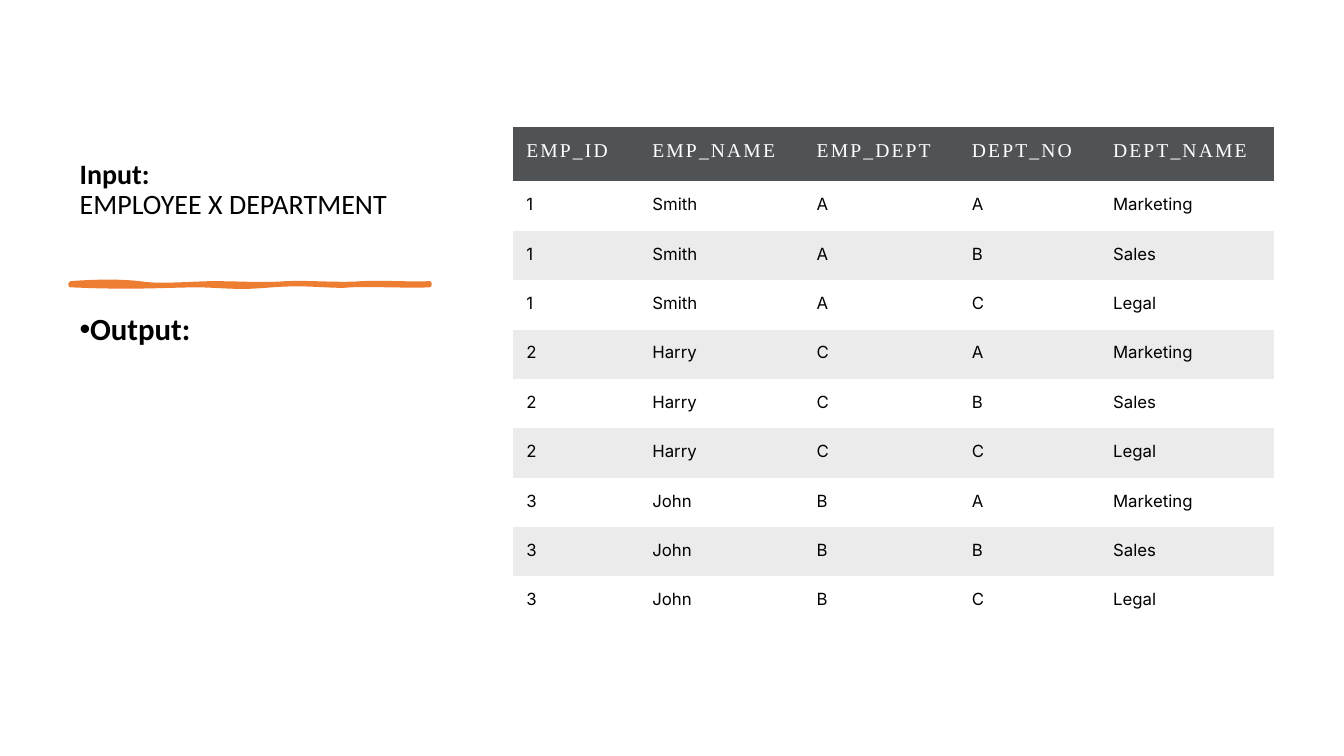
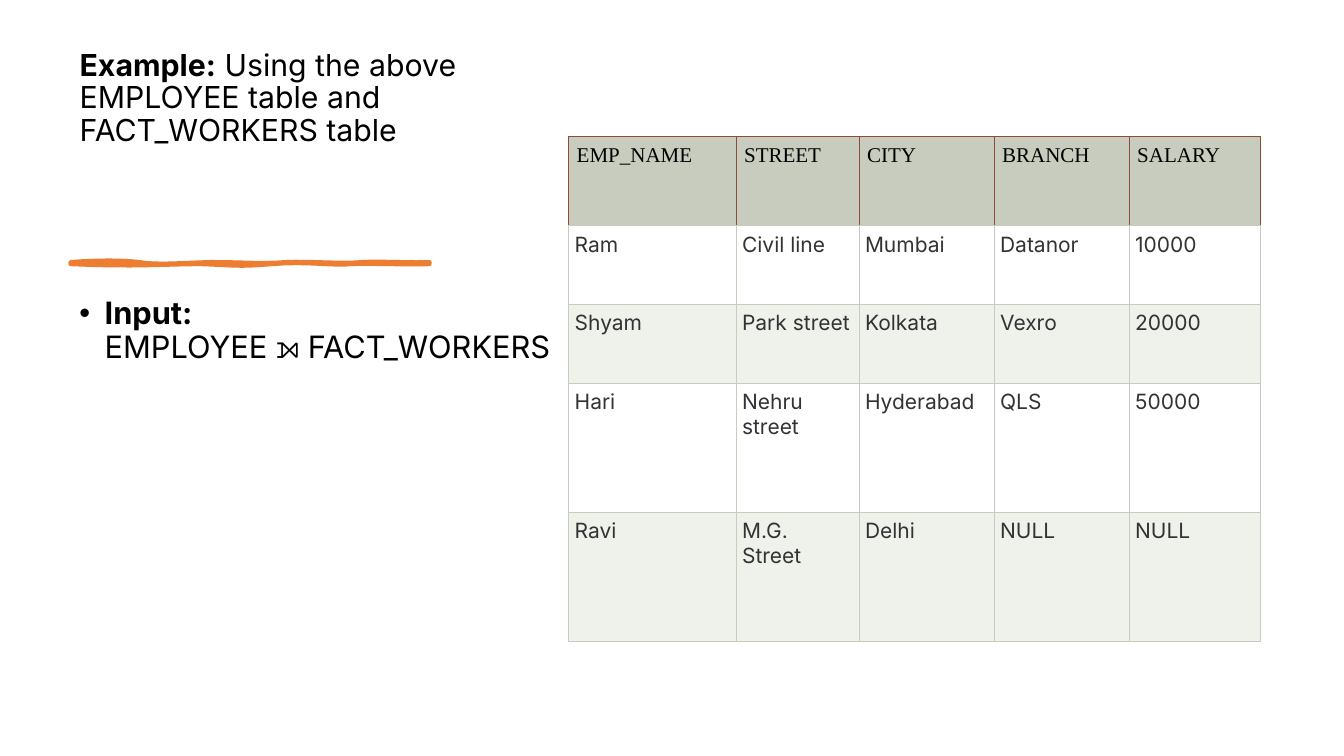
from dataclasses import dataclass
from typing import Optional

from lxml import etree
from pptx import Presentation
from pptx.dml.color import RGBColor
from pptx.enum.text import MSO_ANCHOR, MSO_AUTO_SIZE, PP_ALIGN
from pptx.oxml.ns import qn
from pptx.util import Inches, Pt

BLACK = RGBColor(0x00, 0x00, 0x00)
WHITE = RGBColor(0xFF, 0xFF, 0xFF)
ORANGE = RGBColor(0xED, 0x7D, 0x31)
SLATE = RGBColor(0x50, 0x53, 0x56)
LIGHT_GREY = RGBColor(0xEB, 0xEB, 0xEB)
SAGE = RGBColor(0xC7, 0xCC, 0xBE)
PALE_SAGE = RGBColor(0xEF, 0xF1, 0xEB)
RUST = RGBColor(0x90, 0x4A, 0x38)
CHARCOAL = RGBColor(0x33, 0x33, 0x33)

LEFT, JUSTIFY = PP_ALIGN.LEFT, PP_ALIGN.JUSTIFY
TOP, BOTTOM = MSO_ANCHOR.TOP, MSO_ANCHOR.BOTTOM
NO_AUTOFIT = MSO_AUTO_SIZE.NONE
TITLE_ONLY = 5
TEXT_LEFT = 0.69
LINE_SPACING = 0.9
CURVE_STEPS = 8

# Brush stroke: start point, then (control, control, end) for each curve,
# with x on the page and y measured from the stroke's top edge
STROKE_START = (0.7, 0)
STROKE_CURVES = [
    ((0.97, -0.02), (1.21, -0.02), (1.38, 0)),
    ((1.55, 0.03), (1.77, 0.01), (2.09, 0)),
    ((2.41, 0), (2.6, 0.02), (2.84, 0)),
    ((3.08, -0.01), (3.39, 0.02), (3.59, 0)),
    ((3.79, -0.01), (4.12, 0.01), (4.26, 0)),
    ((4.26, 0.01), (4.26, 0.02), (4.26, 0.02)),
    ((4.08, 0.03), (3.64, 0.01), (3.48, 0.02)),
    ((3.32, 0.04), (3.04, -0.01), (2.7, 0.02)),
    ((2.35, 0.05), (2.31, 0.03), (1.99, 0.02)),
    ((1.66, 0.02), (1.32, 0.05), (0.7, 0.02)),
]


@dataclass
class CellStyle:
    font: str
    size: float
    color: RGBColor
    inset: float
    fills: list[Optional[RGBColor]]
    side_line: Optional[RGBColor] = None
    top_line: Optional[RGBColor] = None
    bottom_line: Optional[RGBColor] = None
    align: PP_ALIGN = LEFT
    spacing: float = 0


@dataclass
class TableSpec:
    left: float
    top: float
    columns: list[float]
    heights: list[float]
    rows: list[list[str]]
    header: CellStyle
    body: CellStyle


def add_text(para, text: str, *, font: str, size: float,
             color: RGBColor = BLACK, bold: bool = False, spacing: float = 0) -> None:
    span = para.add_run()
    span.text = text
    span.font.name = font
    span.font.size = Pt(size)
    span.font.bold = bold
    span.font.color.rgb = color
    if spacing:
        span.font._element.set("spc", str(round(spacing * 100)))


def prepare_box(box, anchor: MSO_ANCHOR, bottom_inset: float = 0.05):
    """Set up the text frame and return its first paragraph."""
    frame = box.text_frame
    frame.word_wrap = True
    frame.auto_size = NO_AUTOFIT
    frame.vertical_anchor = anchor
    frame.margin_bottom = Inches(bottom_inset)
    para = frame.paragraphs[0]
    para.alignment = LEFT
    para.line_spacing = LINE_SPACING
    return para


def place_title(page, width: float, height: float, bottom_inset: float):
    title = page.shapes.title
    title.left, title.top = Inches(TEXT_LEFT), Inches(0.7)
    title.width, title.height = Inches(width), Inches(height)
    return prepare_box(title, BOTTOM, bottom_inset)


def add_bullet_box(page, top: float, width: float, height: float, margin: float):
    box = page.shapes.add_textbox(Inches(TEXT_LEFT), Inches(top), Inches(width), Inches(height))
    para = prepare_box(box, TOP)
    properties = para._p.get_or_add_pPr()
    properties.set("marL", str(Inches(margin)))
    properties.set("indent", str(Inches(-0.25)))
    etree.SubElement(properties, qn("a:buFont")).set("typeface", "Arial")
    etree.SubElement(properties, qn("a:buChar")).set("char", "•")
    return para


def add_brush_stroke(page, top: float) -> None:
    points = []
    start = STROKE_START
    for first, second, end in STROKE_CURVES:
        for step in range(1, CURVE_STEPS + 1):
            t = step / CURVE_STEPS
            weights = ((1 - t) ** 3, 3 * t * (1 - t) ** 2, 3 * t * t * (1 - t), t ** 3)
            corners = (start, first, second, end)
            x, y = (sum(w * c[axis] for w, c in zip(weights, corners)) for axis in (0, 1))
            points.append((Inches(x), Inches(top + y)))
        start = end
    builder = page.shapes.build_freeform(Inches(STROKE_START[0]), Inches(top))
    builder.add_line_segments(points, close=True)
    stroke = builder.convert_to_shape()
    stroke.shadow.inherit = False
    stroke.fill.solid()
    stroke.fill.fore_color.rgb = ORANGE
    stroke.line.color.rgb = ORANGE
    stroke.line.width = Pt(3)
    etree.SubElement(stroke.line._get_or_add_ln(), qn("a:round"))


def set_border(cell, side: str, color: Optional[RGBColor]) -> None:
    line = etree.SubElement(cell._tc.get_or_add_tcPr(), qn(f"a:ln{side}"))
    if color is None:
        line.set("w", "0")
        etree.SubElement(line, qn("a:noFill"))
    else:
        line.set("w", str(Pt(0.6)))
        fill = etree.SubElement(line, qn("a:solidFill"))
        etree.SubElement(fill, qn("a:srgbClr")).set("val", str(color))


def fill_cell(cell, text: str, style: CellStyle, fill: Optional[RGBColor]) -> None:
    inset = Inches(style.inset)
    cell.margin_left = cell.margin_right = inset
    cell.margin_top = cell.margin_bottom = inset
    for side, color in (("L", style.side_line), ("R", style.side_line),
                        ("T", style.top_line), ("B", style.bottom_line)):
        set_border(cell, side, color)
    if fill is None:
        cell.fill.background()
    else:
        cell.fill.solid()
        cell.fill.fore_color.rgb = fill
    para = cell.text_frame.paragraphs[0]
    para.alignment = style.align
    add_text(para, text, font=style.font, size=style.size,
             color=style.color, spacing=style.spacing)


def add_data_table(page, table_spec: TableSpec) -> None:
    columns, heights = table_spec.columns, table_spec.heights
    table = page.shapes.add_table(
        len(heights), len(columns), Inches(table_spec.left), Inches(table_spec.top),
        Inches(sum(columns)), Inches(sum(heights))).table
    table.first_row = table.horz_banding = False
    for column, width in zip(table.columns, columns):
        column.width = Inches(width)
    for index, (height, texts) in enumerate(zip(heights, table_spec.rows)):
        table.rows[index].height = Inches(height)
        style = table_spec.body if index else table_spec.header
        fill = style.fills[(index - 1) % len(style.fills)]
        for column_index, text in enumerate(texts):
            fill_cell(table.cell(index, column_index), text, style, fill)


# Every employee is paired with every department
EMPLOYEES = [("1", "Smith", "A"), ("2", "Harry", "C"), ("3", "John", "B")]
DEPARTMENTS = [("A", "Marketing"), ("B", "Sales"), ("C", "Legal")]

PRODUCT_TABLE = TableSpec(
    left=5.09, top=1.26,
    columns=[1.25, 1.63, 1.54, 1.4, 1.73],
    heights=[0.54] + [0.49] * 9,
    rows=[["EMP_ID", "EMP_NAME", "EMP_DEPT", "DEPT_NO", "DEPT_NAME"]]
    + [[*employee, *department] for employee in EMPLOYEES for department in DEPARTMENTS],
    header=CellStyle("Times New Roman", 14, WHITE, 0.13, [SLATE], spacing=1.5),
    body=CellStyle("Inter", 12, BLACK, 0.13, [None, LIGHT_GREY], align=JUSTIFY),
)

WORKERS_TABLE = TableSpec(
    left=5.64, top=1.35,
    columns=[1.66, 1.22, 1.34, 1.34, 1.3],
    heights=[0.89, 0.78, 0.78, 1.28, 1.28],
    rows=[
        ["EMP_NAME", "STREET", "CITY", "BRANCH", "SALARY"],
        ["Ram", "Civil line", "Mumbai", "Datanor", "10000"],
        ["Shyam", "Park street", "Kolkata", "Vexro", "20000"],
        ["Hari", "Nehru street", "Hyderabad", "QLS", "50000"],
        ["Ravi", "M.G. Street", "Delhi", "NULL", "NULL"],
    ],
    header=CellStyle("Times New Roman", 15, BLACK, 0.08, [SAGE],
                     side_line=RUST, top_line=RUST, bottom_line=SAGE),
    body=CellStyle("Inter", 15, CHARCOAL, 0.06, [WHITE, PALE_SAGE],
                   side_line=SAGE, top_line=SAGE, bottom_line=SAGE, align=JUSTIFY),
)


def build_product_slide(page) -> None:
    para = place_title(page, 3.75, 1.88, bottom_inset=0.39)
    add_text(para, "Input:", font="Calibri", size=20, bold=True)
    para.add_line_break()
    add_text(para, "EMPLOYEE X DEPARTMENT", font="Calibri", size=20)
    add_brush_stroke(page, 2.81)
    para = add_bullet_box(page, 3.07, 3.75, 3.73, margin=0)
    add_text(para, "Output:", font="Calibri", size=22, bold=True)
    add_data_table(page, PRODUCT_TABLE)


def build_join_slide(page) -> None:
    para = place_title(page, 5.27, 1.62, bottom_inset=0.85)
    add_text(para, "Example:", font="Inter", size=21.6, bold=True)
    add_text(para, " Using the above EMPLOYEE table and FACT_WORKERS table",
             font="Inter", size=21.6)
    add_brush_stroke(page, 2.6)
    para = add_bullet_box(page, 2.91, 5.27, 3.88, margin=0.25)
    add_text(para, "Input:", font="Inter", size=22, bold=True)
    para.add_line_break()
    add_text(para, "EMPLOYEE ⟕ FACT_WORKERS", font="Inter", size=22)
    add_data_table(page, WORKERS_TABLE)


def main() -> None:
    deck = Presentation()
    deck.slide_width, deck.slide_height = Inches(13.33), Inches(7.5)
    for build in (build_product_slide, build_join_slide):
        build(deck.slides.add_slide(deck.slide_layouts[TITLE_ONLY]))
    deck.save("out.pptx")


if __name__ == "__main__":
    main()
